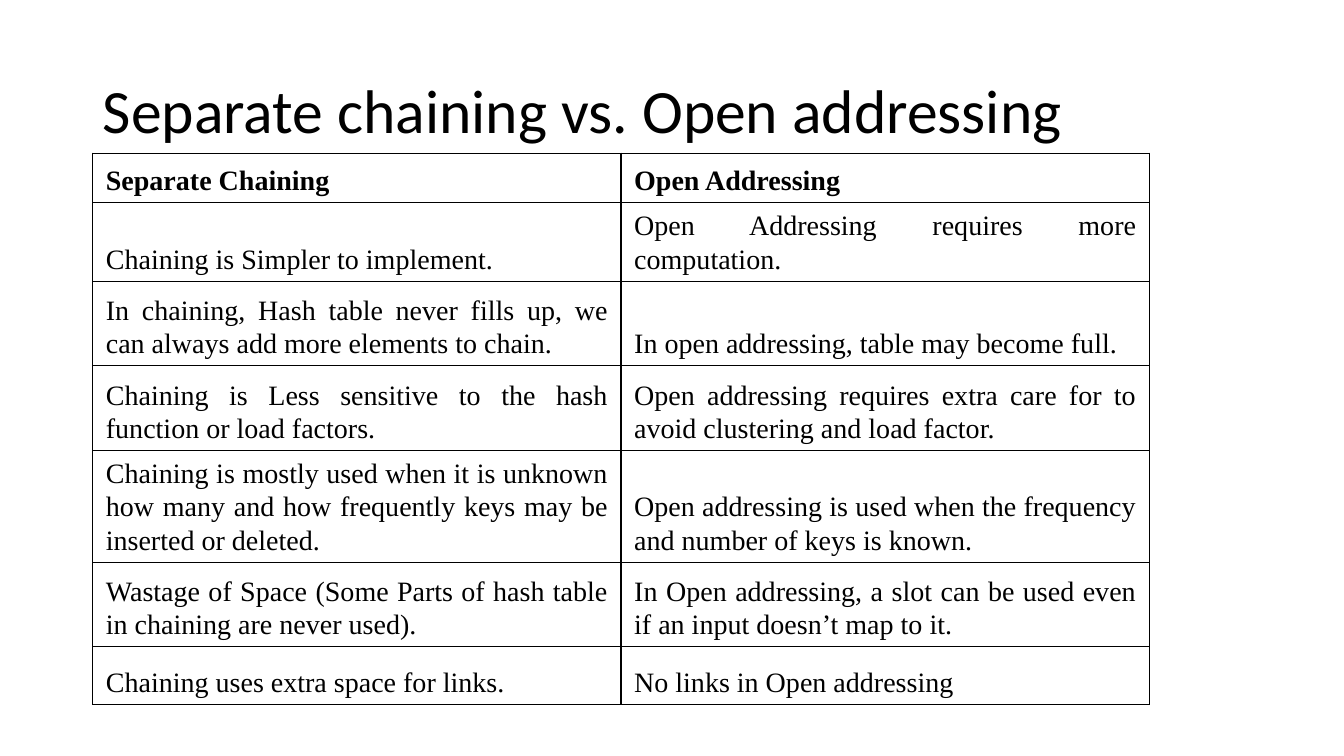
from lxml.etree import SubElement
from pptx import Presentation
from pptx.dml.color import RGBColor
from pptx.enum.text import MSO_ANCHOR, PP_ALIGN
from pptx.oxml.ns import qn
from pptx.util import Inches, Pt

HUES = {"ink": "000000", "paper": "FFFFFF"}
ROWS = [
    ("Separate Chaining", "Open Addressing"),
    ("Chaining is Simpler to implement.",
     "Open Addressing requires more computation."),
    ("In chaining, Hash table never fills up, we can always add more elements to chain.",
     "In open addressing, table may become full."),
    ("Chaining is Less sensitive to the hash function or load factors.",
     "Open addressing requires extra care for to avoid clustering and load factor."),
    ("Chaining is mostly used when it is unknown how many and how frequently keys "
     "may be inserted or deleted.",
     "Open addressing is used when the frequency and number of keys is known."),
    ("Wastage of Space (Some Parts of hash table in chaining are never used).",
     "In Open addressing, a slot can be used even if an input doesn’t map to it."),
    ("Chaining uses extra space for links.", "No links in Open addressing"),
]
HIGH = [0.49] * 2 + [0.84] * 4 + [0.57]
WIDE = 5.24
LEFT = 0.92


def write(frame, text, size, face, align, space, bold=False):
    frame.word_wrap = True
    para = frame.paragraphs[0]
    para.alignment = align
    para.line_spacing = space
    run = para.add_run()
    run.text = text
    font = run.font
    font.size, font.name, font.bold = Pt(size), face, bold
    font.color.rgb = RGBColor.from_string(HUES["ink"])


def frame_cell(cell):
    """Draw a thin line on all four sides, then fill the cell."""
    props = cell._tc.get_or_add_tcPr()
    for side in ("lnL", "lnR", "lnT", "lnB"):
        line = SubElement(props, qn("a:" + side), w=str(Pt(1)))
        fill = SubElement(line, qn("a:solidFill"))
        SubElement(fill, qn("a:srgbClr"), val=HUES["ink"])
    cell.fill.solid()
    cell.fill.fore_color.rgb = RGBColor.from_string(HUES["paper"])


deck = Presentation()
deck.slide_width, deck.slide_height = Inches(13.33), Inches(7.5)
slide = deck.slides.add_slide(deck.slide_layouts[5])

title = slide.shapes.title
title.left, title.top = Inches(LEFT), Inches(0.4)
title.width, title.height = Inches(11.5), Inches(1.45)
title.text_frame.vertical_anchor = MSO_ANCHOR.MIDDLE
write(title.text_frame, "Separate chaining vs. Open addressing",
      size=44, face="Calibri", align=PP_ALIGN.LEFT, space=0.9)

table = slide.shapes.add_table(
    len(ROWS), 2, Inches(LEFT), Inches(1.52),
    Inches(2 * WIDE), Inches(sum(HIGH))).table
table.first_row = table.horz_banding = False
for col in table.columns:
    col.width = Inches(WIDE)
for r, pair in enumerate(ROWS):
    table.rows[r].height = Inches(HIGH[r])
    for c, text in enumerate(pair):
        cell = table.cell(r, c)
        cell.vertical_anchor = MSO_ANCHOR.BOTTOM
        cell.margin_left = cell.margin_right = Inches(0.13)
        cell.margin_top = cell.margin_bottom = Inches(0.06)
        frame_cell(cell)
        write(cell.text_frame, text, size=20, face="Times New Roman",
              align=PP_ALIGN.JUSTIFY, space=1.07, bold=r == 0)

deck.save("out.pptx")
